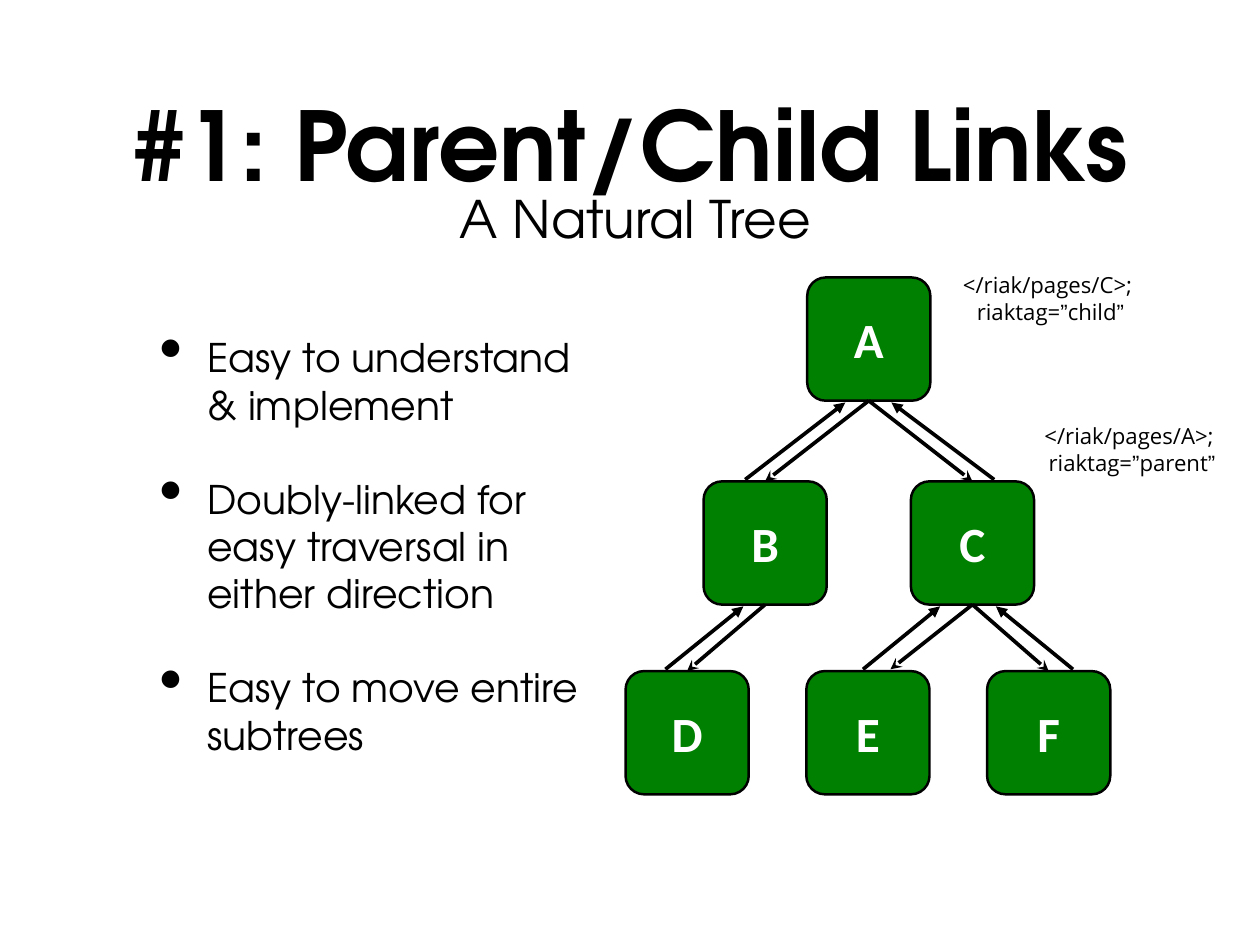
from dataclasses import dataclass

from lxml import etree
from pptx import Presentation
from pptx.dml.color import RGBColor
from pptx.enum.shapes import MSO_CONNECTOR, MSO_SHAPE
from pptx.enum.text import MSO_ANCHOR, MSO_AUTO_SIZE, PP_ALIGN
from pptx.oxml.ns import qn
from pptx.shapes.autoshape import Shape
from pptx.shapes.connector import Connector
from pptx.slide import Slide
from pptx.text.text import Font, TextFrame
from pptx.util import Inches, Pt

STRAIGHT = MSO_CONNECTOR.STRAIGHT
ROUNDED = MSO_SHAPE.ROUNDED_RECTANGLE
MIDDLE = MSO_ANCHOR.MIDDLE
CENTER = PP_ALIGN.CENTER
NO_AUTOFIT = MSO_AUTO_SIZE.NONE
TOP_SITE, BOTTOM_SITE = 0, 2
TITLE_ONLY = 5
NODE_SIZE = 1.39


@dataclass(frozen=True)
class Theme:
    ink: RGBColor = RGBColor(0, 0, 0)
    node_fill: RGBColor = RGBColor(0, 128, 0)
    node_text: RGBColor = RGBColor(255, 255, 255)
    heading_font: str = "TeX Gyre Adventor"
    node_font: str = "Calibri"
    note_font: str = "Open Sans"
    quote_font: str = "Arial"
    title_size: int = 78
    subtitle_size: int = 42
    bullet_size: int = 32
    node_size: int = 40
    note_size: int = 18


@dataclass(frozen=True)
class Box:
    left: float
    top: float
    width: float
    height: float


@dataclass(frozen=True)
class Node:
    name: str
    left: float
    top: float


@dataclass(frozen=True)
class Link:
    parent: str
    child: str
    up_from: float
    up_to: float
    down_to: float | None = None


@dataclass(frozen=True)
class Note:
    left: float
    top: float
    page: str
    tag: str


THEME = Theme()
TITLE_BOX = Box(1.39, 0.28, 11.44, 2.67)
SUBTITLE_BOX = Box(5.19, 2.11, 3.96, 0.7)
BULLETS_BOX = Box(1.39, 3.03, 5.51, 6.25)
BULLETS = [
    "Easy to understand & implement",
    "Doubly-linked for easy traversal in either direction",
    "Easy to move entire subtrees",
]
NODES = [
    Node("A", 9.11, 3.13),
    Node("B", 7.94, 5.43),
    Node("C", 10.28, 5.43),
    Node("D", 7.06, 7.57),
    Node("E", 9.1, 7.57),
    Node("F", 11.14, 7.57),
]
LINKS = [
    Link("A", "B", 8.41, 9.54),
    Link("A", "C", 11.22, 10.06),
    Link("B", "D", 7.51, 8.39),
    Link("C", "E", 9.74, 10.61, down_to=10.05),
    Link("C", "F", 12.11, 11.24),
]
NOTES = [Note(10.21, 3.02, "C", "child"), Note(11.13, 4.72, "A", "parent")]


def set_font(font: Font, name: str, size: int, color: RGBColor, bold: bool = False) -> None:
    font.name = name
    font.size = Pt(size)
    font.color.rgb = color
    font.bold = bold


def place(shape: Shape, box: Box) -> None:
    shape.left, shape.top = Inches(box.left), Inches(box.top)
    shape.width, shape.height = Inches(box.width), Inches(box.height)


def set_frame(frame: TextFrame, inset: float = 0, wrap: bool = True) -> None:
    frame.auto_size = NO_AUTOFIT
    frame.word_wrap = wrap
    frame.vertical_anchor = MIDDLE
    frame.margin_left = frame.margin_right = Inches(inset)
    frame.margin_top = frame.margin_bottom = Inches(inset)


def add_text_frame(slide: Slide, box: Box, inset: float = 0, wrap: bool = True) -> TextFrame:
    shape = slide.shapes.add_textbox(0, 0, 0, 0)
    place(shape, box)
    set_frame(shape.text_frame, inset, wrap)
    return shape.text_frame


def add_titles(slide: Slide) -> None:
    title = slide.shapes.title
    place(title, TITLE_BOX)
    set_frame(title.text_frame, 0.06)
    subtitle = add_text_frame(slide, SUBTITLE_BOX, wrap=False)
    for frame, text, size, bold in (
        (title.text_frame, "#1: Parent/Child Links", THEME.title_size, True),
        (subtitle, "A Natural Tree", THEME.subtitle_size, False),
    ):
        paragraph = frame.paragraphs[0]
        paragraph.text = text
        paragraph.alignment = CENTER
        set_font(paragraph.font, THEME.heading_font, size, THEME.ink, bold)


def add_bullets(slide: Slide) -> None:
    frame = add_text_frame(slide, BULLETS_BOX, 0.06)
    for index, text in enumerate(BULLETS):
        paragraph = frame.add_paragraph() if index else frame.paragraphs[0]
        paragraph.text = text
        properties = paragraph._p.get_or_add_pPr()
        properties.set("marL", str(Inches(0.89)))
        properties.set("indent", str(Inches(-0.54)))
        etree.SubElement(properties, qn("a:buSzPct"), val="171000")
        etree.SubElement(properties, qn("a:buChar"), char="•")
        if index:
            paragraph.space_before = Pt(38)
        set_font(paragraph.font, THEME.heading_font, THEME.bullet_size, THEME.ink)


def add_node(slide: Slide, node: Node) -> Shape:
    shape = slide.shapes.add_shape(ROUNDED, 0, 0, 0, 0)
    place(shape, Box(node.left, node.top, NODE_SIZE, NODE_SIZE))
    shape.adjustments[0] = 0.15
    shape.shadow.inherit = False
    shape.fill.solid()
    shape.fill.fore_color.rgb = THEME.node_fill
    shape.line.color.rgb = THEME.ink
    shape.line.width = Pt(2)
    set_frame(shape.text_frame)
    paragraph = shape.text_frame.paragraphs[0]
    paragraph.text = node.name
    paragraph.alignment = CENTER
    set_font(paragraph.font, THEME.node_font, THEME.node_size, THEME.node_text, True)
    return shape


def add_arrow(slide: Slide, start: tuple[int, int], end: tuple[int, int], head: str) -> Connector:
    arrow = slide.shapes.add_connector(STRAIGHT, *start, *end)
    arrow.line.color.rgb = THEME.ink
    arrow.line.width = Pt(3)
    etree.SubElement(arrow.line._get_or_add_ln(), qn("a:tailEnd"), type=head)
    etree.SubElement(arrow._element.spPr, qn("a:effectLst"))
    return arrow


def add_link(slide: Slide, link: Link, parent: Shape, child: Shape) -> None:
    upper = parent.top + parent.height + Inches(0.02)
    lower = child.top - Inches(0.02)
    parent_middle = parent.left + parent.width // 2
    child_middle = child.left + child.width // 2
    down_to = child_middle if link.down_to is None else Inches(link.down_to)
    down = add_arrow(slide, (parent_middle, upper), (down_to, lower), "stealth")
    down.begin_connect(parent, BOTTOM_SITE)
    if link.down_to is None:
        down.end_connect(child, TOP_SITE)
    add_arrow(slide, (Inches(link.up_from), lower), (Inches(link.up_to), upper), "triangle")


def add_note(slide: Slide, note: Note) -> None:
    frame = add_text_frame(slide, Box(note.left, note.top, 3.29, 0.69))
    lines = [[f"</riak/pages/{note.page}>; "], ["riaktag=", "”", note.tag, "”"]]
    for index, texts in enumerate(lines):
        paragraph = frame.add_paragraph() if index else frame.paragraphs[0]
        paragraph.alignment = CENTER
        set_font(paragraph.font, THEME.note_font, THEME.note_size, THEME.ink)
        for text in texts:
            run = paragraph.add_run()
            run.text = text
            if text == "”":
                run.font.name = THEME.quote_font


def main() -> None:
    presentation = Presentation()
    presentation.slide_width, presentation.slide_height = Inches(14.22), Inches(10.66)
    slide = presentation.slides.add_slide(presentation.slide_layouts[TITLE_ONLY])
    add_titles(slide)
    add_bullets(slide)
    shapes = {node.name: add_node(slide, node) for node in NODES}
    for link in LINKS:
        add_link(slide, link, shapes[link.parent], shapes[link.child])
    for note in NOTES:
        add_note(slide, note)
    presentation.save("out.pptx")


if __name__ == "__main__":
    main()
